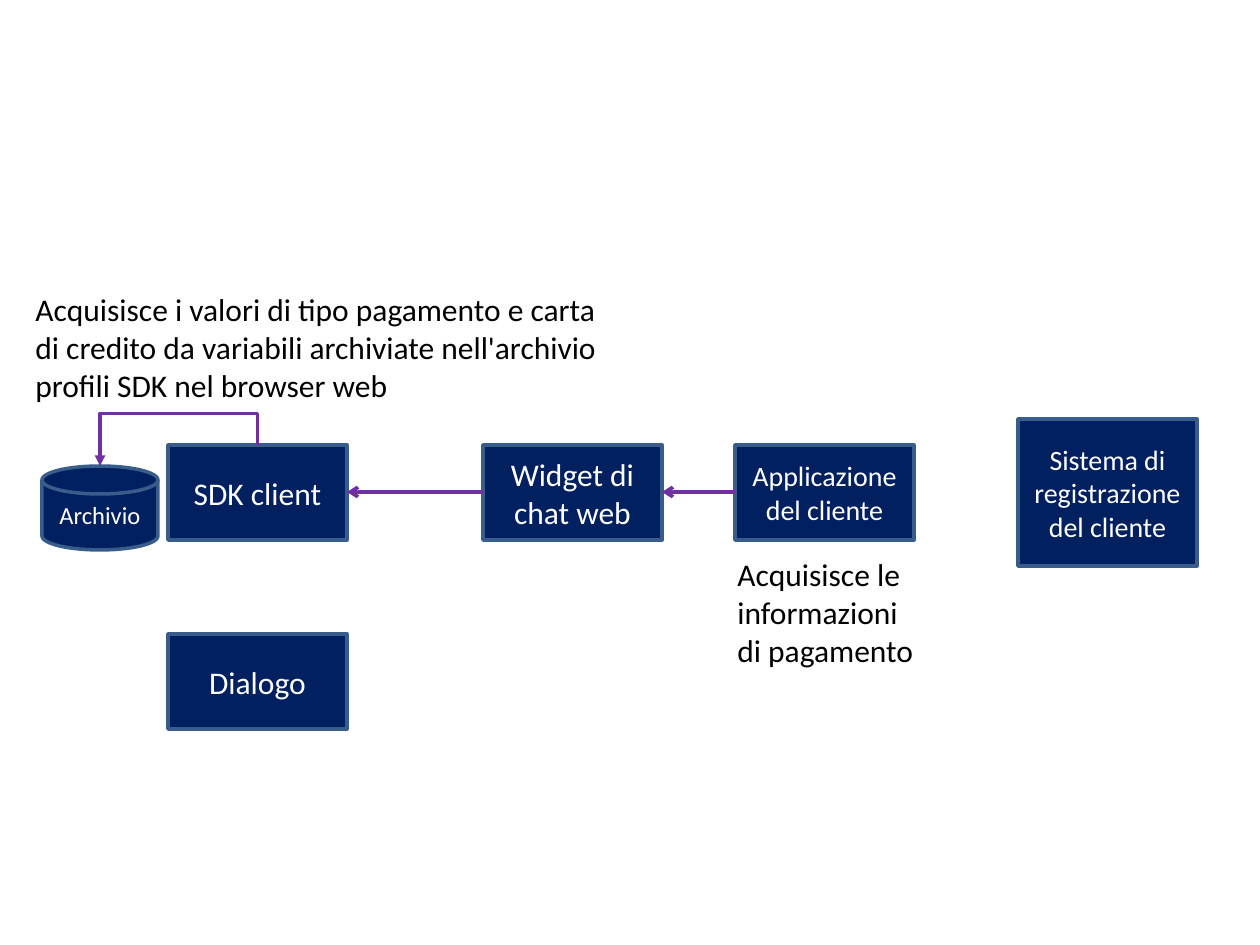
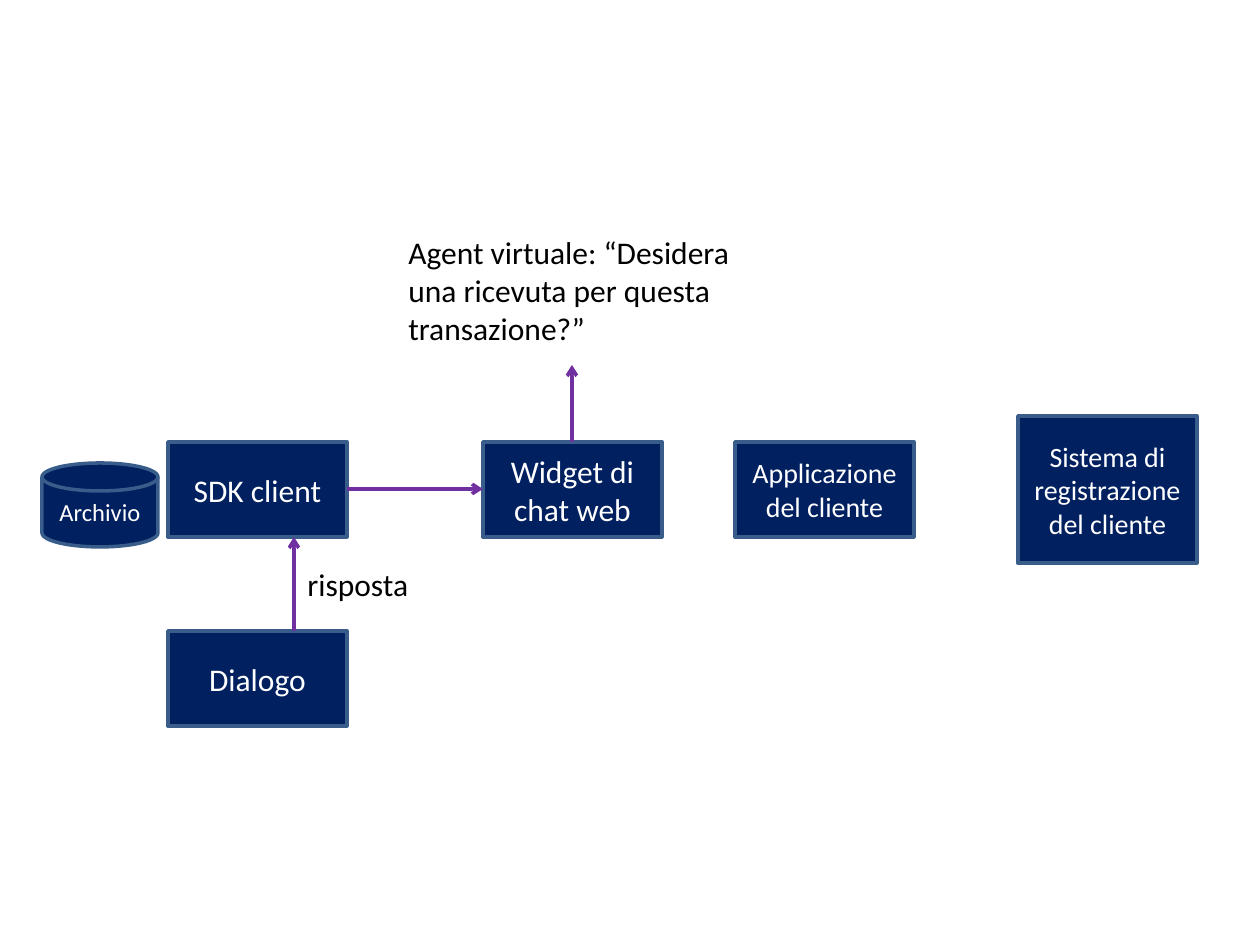
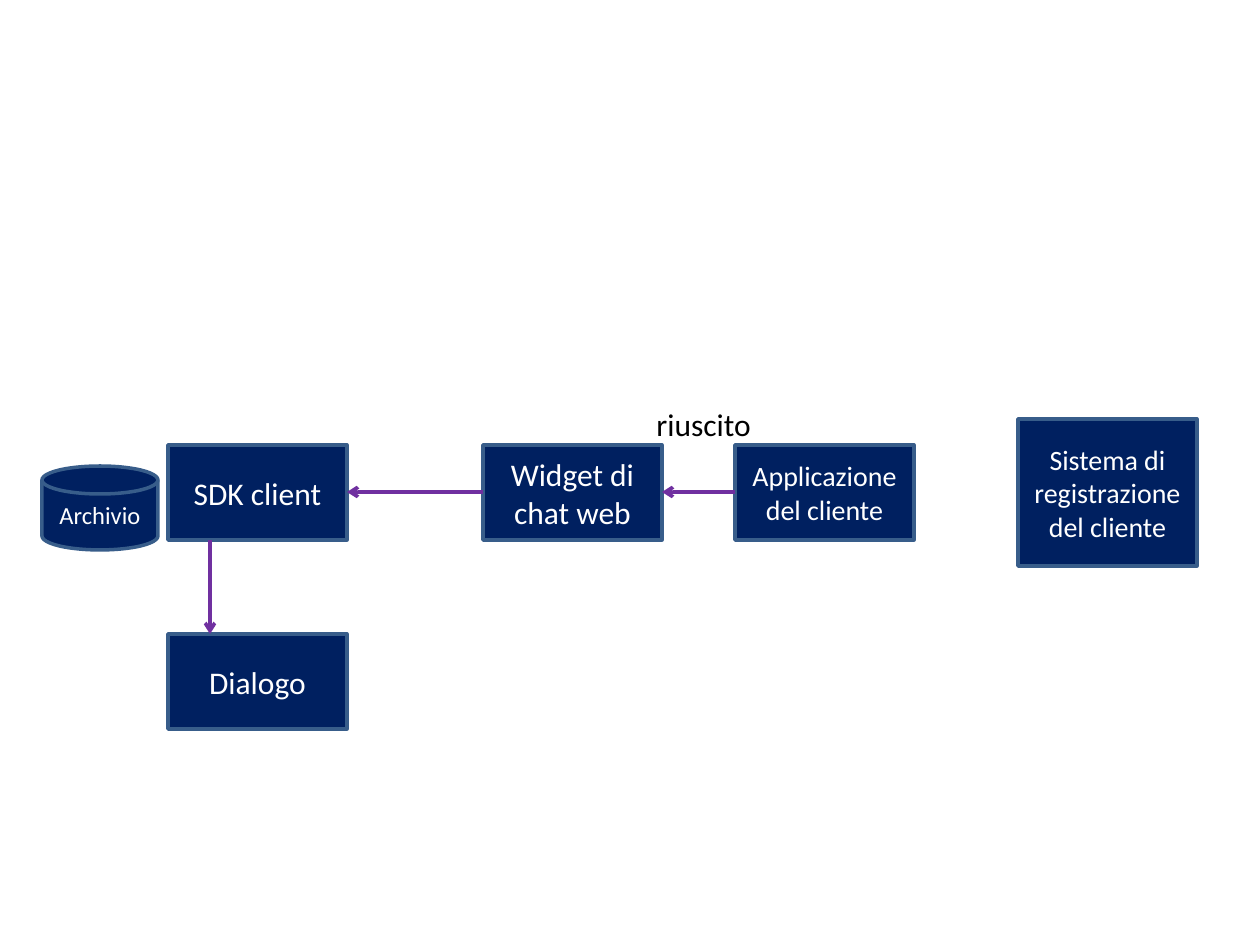
"""Three slides that show how payment data flows between chat components."""
from lxml.etree import SubElement
from pptx import Presentation
from pptx.dml.color import RGBColor
from pptx.enum.shapes import MSO_CONNECTOR as CONN, MSO_SHAPE as SHAPE
from pptx.enum.text import MSO_ANCHOR, MSO_AUTO_SIZE, PP_ALIGN
from pptx.oxml.ns import qn
from pptx.util import Pt

PX = 914400 / 126
FONT = "Calibri"
NAVY, EDGE, PURPLE, WHITE, BLACK = "002060", "385D8A", "7030A0", "FFFFFF", "000000"
BOX_W, BOX_H = 179, 95

# name: (label, size, left, top below the row, width, height, shape)
NODES = {
    "store": ("Archivio", 14, 42, 21, 116, 84, SHAPE.FLOWCHART_MAGNETIC_DISK),
    "sdk": ("SDK client", 18, 168, 0, BOX_W, BOX_H, SHAPE.RECTANGLE),
    "dialog": ("Dialogo", 18, 168, 189, BOX_W, BOX_H, SHAPE.RECTANGLE),
    "widget": ("Widget di chat web", 18, 483, 0, BOX_W, BOX_H, SHAPE.RECTANGLE),
    "app": ("Applicazione del cliente", 16, 735, 0, BOX_W, BOX_H, SHAPE.RECTANGLE),
    "system": ("Sistema di registrazione del cliente", 16, 1018, -26, BOX_W, 147,
               SHAPE.RECTANGLE),
}

# across: node pairs; upright: x, start and end below the row
# texts: lines, left, top, width, height, wrap
SLIDES = [
    {"row": 445,
     "across": [("app", "widget"), ("widget", "sdk")],
     "upright": [],
     "lookup": ("sdk", "store"),
     "texts": [
         (["Acquisisce le", "informazioni", "di pagamento"], 725, 549, 535, 126, True),
         (["Acquisisce i valori di tipo pagamento e carta",
           "di credito da variabili archiviate nell'archivio",
           "profili SDK nel browser web"], 23, 284, 596, 126, False)]},
    {"row": 442,
     "across": [("sdk", "widget")],
     "upright": [(294, 189, 95), (572, 0, -77)],
     "lookup": None,
     "texts": [
         (["risposta"], 295, 559, 126, 50, False),
         (["Agent virtuale: “Desidera", "una ricevuta per questa",
           "transazione?”"], 396, 227, 354, 126, False)]},
    {"row": 445,
     "across": [("app", "widget"), ("widget", "sdk")],
     "upright": [(210, 95, 189)],
     "lookup": None,
     "texts": [(["riuscito"], 644, 399, 120, 50, False)]},
]


def px(*values):
    return [round(v * PX) for v in values]


def rgb(value):
    return RGBColor.from_string(value)


def write(tf, lines, size, color, align=PP_ALIGN.LEFT):
    for i, line in enumerate(lines):
        p = tf.add_paragraph() if i else tf.paragraphs[0]
        p.alignment = align
        r = p.add_run()
        r.text = line
        r.font.name, r.font.size = FONT, Pt(size)
        r.font.color.rgb = rgb(color)


def add_node(s, row, label, size, left, drop, width, height, kind):
    sp = s.shapes.add_shape(kind, *px(left, row + drop, width, height))
    sp.shadow.inherit = False
    sp.fill.solid()
    sp.fill.fore_color.rgb = rgb(NAVY)
    sp.line.color.rgb = rgb(EDGE)
    sp.line.width = Pt(2)
    sp.text_frame.word_wrap = True
    sp.text_frame.vertical_anchor = MSO_ANCHOR.MIDDLE
    write(sp.text_frame, [label], size, WHITE, PP_ALIGN.CENTER)


def add_text(s, lines, left, top, width, height, wrap):
    tf = s.shapes.add_textbox(*px(left, top, width, height)).text_frame
    tf.word_wrap = wrap
    tf.auto_size = MSO_AUTO_SIZE.SHAPE_TO_FIT_TEXT
    write(tf, lines, 18, BLACK)


def add_arrow(s, x1, y1, x2, y2, kind=CONN.STRAIGHT, head="arrow"):
    c = s.shapes.add_connector(kind, *px(x1, y1, x2, y2))
    c.line.color.rgb = rgb(PURPLE)
    c.line.width = Pt(2)
    SubElement(c.line._get_or_add_ln(), qn("a:tailEnd"), type=head)
    SubElement(c._element.spPr, qn("a:effectLst"))
    return c


def add_across(s, row, start, end):
    x1, x2 = NODES[start][2], NODES[end][2]
    y = row + BOX_H // 2
    if x1 < x2:
        add_arrow(s, x1 + BOX_W, y, x2, y)
    else:
        add_arrow(s, x1, y, x2 + BOX_W, y)


def add_lookup(s, row, start, end):
    (x1, y1), (x2, y2) = [(n[2] + n[4] / 2, row + n[3])
                          for n in (NODES[start], NODES[end])]
    mid_x, mid_y = (x1 + x2) / 2, (y1 + y2) / 2
    half_w, half_h = (y2 - y1) / 2, (x1 - x2) / 2
    c = add_arrow(s, mid_x - half_w, mid_y - half_h, mid_x + half_w, mid_y + half_h,
                  CONN.ELBOW, "triangle")
    spPr = c._element.spPr
    spPr.find(qn("a:xfrm")).set("rot", "5400000")
    guides = spPr.find(qn("a:prstGeom")).find(qn("a:avLst"))
    SubElement(guides, qn("a:gd"), name="adj1", fmla="val -150000")


def main():
    prs = Presentation()
    prs.slide_width, prs.slide_height = px(1260, 945)
    for data in SLIDES:
        s = prs.slides.add_slide(prs.slide_layouts[6])
        row = data["row"]
        for node in NODES.values():
            add_node(s, row, *node)
        for pair in data["across"]:
            add_across(s, row, *pair)
        for x, start, end in data["upright"]:
            add_arrow(s, x, row + start, x, row + end)
        if data["lookup"]:
            add_lookup(s, row, *data["lookup"])
        for text in data["texts"]:
            add_text(s, *text)
    prs.save("out.pptx")


if __name__ == "__main__":
    main()
